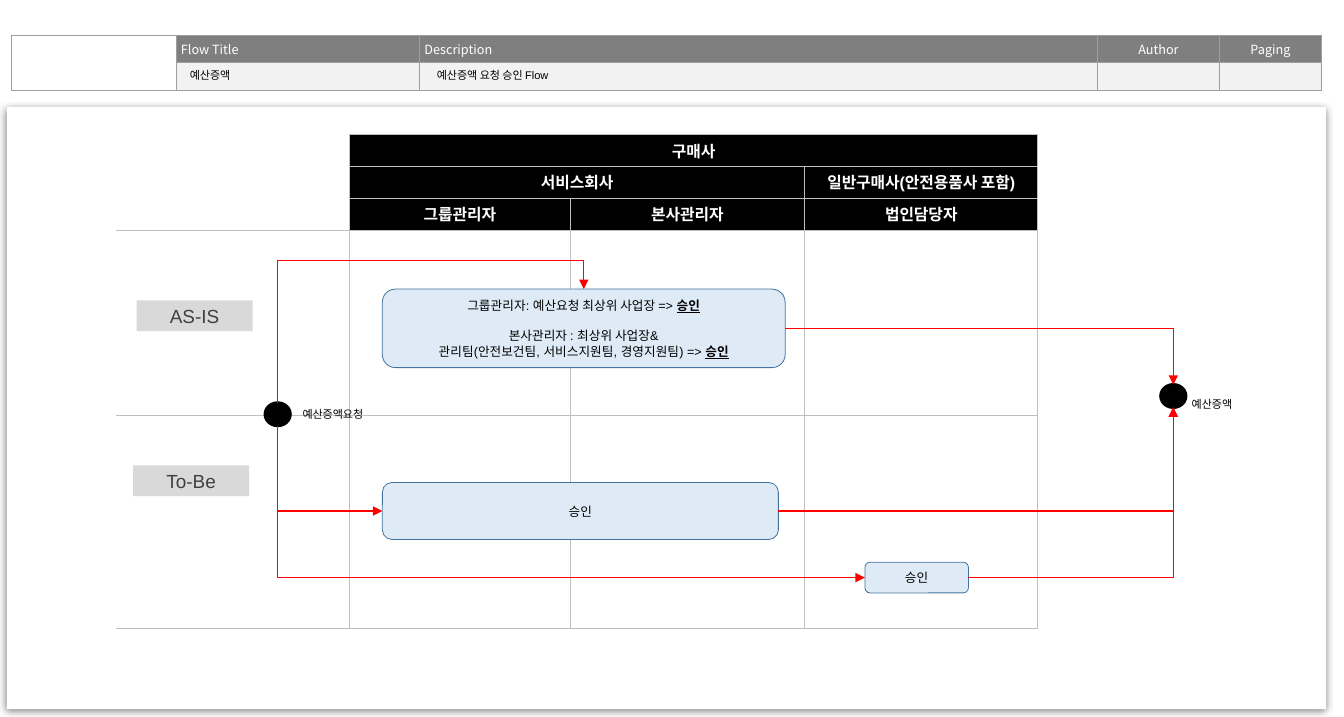
from dataclasses import dataclass

from pptx import Presentation
from pptx import util as u
from pptx.dml.color import RGBColor
from pptx.enum import shapes, text
from pptx.oxml import parse_xml
from pptx.oxml.ns import nsdecls, qn

# The slide is a grid of 118.1 columns by 63 rows
COLUMNS, ROWS = 118.1, 63
CELL = u.Inches(0.1)
TOP, LEFT, BOTTOM, RIGHT = range(4)
SHAPE = shapes.MSO_SHAPE
CENTER = text.PP_ALIGN.CENTER


@dataclass(frozen=True)
class Theme:
    font: str = "Arial"
    header_font: str = "Noto Sans CJK KR"
    black: str = "000000"
    white: str = "FFFFFF"
    header: str = "7F7F7F"
    header_body: str = "F2F2F2"
    header_border: str = "9E9E9E"
    lane_border: str = "BFBFBF"
    tag: str = "D9D9D9"
    tag_text: str = "404040"
    step: str = "DEEBF7"
    step_line: str = "43739E"
    flow: str = "FF0000"
    note_size: float = 7
    step_size: float = 8
    lane_size: float = 10
    tag_size: float = 12


THEME = Theme()


def grid(*cells):
    return [round(cell * CELL) for cell in cells]


def style(paragraph, size, color, align=None, bold=None, font=THEME.font):
    paragraph.alignment = align
    paragraph.font.size = u.Pt(size)
    paragraph.font.name = font
    paragraph.font.bold = bold
    paragraph.font.color.rgb = RGBColor.from_string(color)


def add_block(slide, kind, box, fill, line=None, width=0.5):
    shape = slide.shapes.add_shape(kind, *grid(*box))
    shape.shadow.inherit = False
    shape.fill.solid()
    shape.fill.fore_color.rgb = RGBColor.from_string(fill)
    if line:
        shape.line.color.rgb = RGBColor.from_string(line)
        shape.line.width = u.Pt(width)
    else:
        shape.line.fill.background()
    shape.text_frame.word_wrap = True
    shape.text_frame.vertical_anchor = text.MSO_ANCHOR.MIDDLE
    return shape


def add_step(slide, box, words=None):
    step = add_block(slide, SHAPE.ROUNDED_RECTANGLE, box, THEME.step, THEME.step_line)
    if words:
        paragraph = step.text_frame.paragraphs[0]
        paragraph.text = words
        style(paragraph, THEME.step_size, THEME.black, CENTER)
    return step


def add_tag(slide, left, top, words):
    tag = add_block(slide, SHAPE.RECTANGLE, (left, top, 10.2, 2.7), THEME.tag)
    tag.text_frame.text = words
    style(tag.text_frame.paragraphs[0], THEME.tag_size, THEME.tag_text, CENTER)


def add_node(slide, left, top):
    return add_block(slide, SHAPE.OVAL, (left, top, 2.2, 2), THEME.black, THEME.black, 2)


def add_note(slide, left, top, width, words, align=None):
    frame = slide.shapes.add_textbox(*grid(left, top, width, 2.2)).text_frame
    frame.word_wrap = True
    frame.text = words
    style(frame.paragraphs[0], THEME.note_size, THEME.black, align)


def side(shape, site):
    """Middle of one side of a shape."""
    x = {LEFT: 0, RIGHT: shape.width}.get(site, shape.width // 2)
    y = {TOP: 0, BOTTOM: shape.height}.get(site, shape.height // 2)
    return shape.left + x, shape.top + y


def add_flow(slide, start, end, turn=0, bend=None):
    """Elbow arrow; turn rotates it so that it leaves vertically."""
    middle = [(a + b) / 2 for a, b in zip(start, end)]
    x, y = (a - m for a, m in zip(start, middle))
    x, y = {0: (x, y), 90: (y, -x), 270: (-y, x)}[turn]
    ends = middle[0] + x, middle[1] + y, middle[0] - x, middle[1] - y
    flow = slide.shapes.add_connector(shapes.MSO_CONNECTOR.ELBOW, *map(round, ends))
    flow.line.color.rgb = RGBColor.from_string(THEME.flow)
    flow.line.width = u.Pt(0.75)
    properties = flow._element.spPr
    properties.find(qn("a:ln")).append(
        parse_xml(f'<a:tailEnd {nsdecls("a")} type="triangle"/>'))
    properties.append(parse_xml(f'<a:effectLst {nsdecls("a")}/>'))
    if turn:
        properties.find(qn("a:xfrm")).set("rot", str(turn * 60000))
    geometry = properties.find(qn("a:prstGeom"))
    if bend:
        geometry.find(qn("a:avLst")).append(parse_xml(
            f'<a:gd {nsdecls("a")} name="adj1" fmla="val {round(bend * 100000)}"/>'))
    else:
        geometry.set("prst", "bentConnector2")


def set_borders(cell, color, width, hidden=""):
    properties = cell._tc.get_or_add_tcPr()
    for edge in "LRTB":
        paint = ("<a:noFill/>" if edge in hidden else
                 f'<a:solidFill><a:srgbClr val="{color}"/></a:solidFill>')
        properties.append(parse_xml(
            f'<a:ln{edge} {nsdecls("a")} w="{u.Pt(width)}">{paint}</a:ln{edge}>'))


def add_grid_table(slide, left, top, columns, rows):
    frame = slide.shapes.add_table(
        len(rows), len(columns), *grid(left, top, sum(columns), sum(rows)))
    table = frame.table
    table.first_row = table.horz_banding = False
    for column, width in zip(table.columns, grid(*columns)):
        column.width = width
    for row, height in zip(table.rows, grid(*rows)):
        row.height = height
    return table


def fill_cell(cell, fill, words, margin, **font):
    cell.vertical_anchor = text.MSO_ANCHOR.MIDDLE
    cell.margin_top = cell.margin_bottom = u.Inches(margin)
    if fill:
        cell.fill.solid()
        cell.fill.fore_color.rgb = RGBColor.from_string(fill)
    else:
        cell.fill.background()
    paragraph = cell.text_frame.paragraphs[0]
    if words:
        paragraph.text = words
        style(paragraph, color=THEME.white, **font)
    else:
        paragraph._p.append(parse_xml(f'<a:endParaRPr {nsdecls("a")} sz="800"/>'))


def add_header(slide):
    table = add_grid_table(slide, 1, 3.1, (14.5, 21.4, 59.5, 10.8, 8.9), (2.4, 2.4))
    titles = ("", "Flow Title", "Description", "Author", "Paging")
    for row, fill in enumerate((THEME.header, THEME.header_body)):
        for column, title in enumerate(titles):
            cell = table.cell(row, column)
            set_borders(cell, THEME.header_border, 0.75)
            cell.margin_left = cell.margin_right = u.Inches(0.04)
            fill_cell(cell, fill if column else None, "" if row else title, 0.04,
                      size=THEME.step_size, font=THEME.header_font,
                      align=CENTER if column > 2 else None)
    table.cell(0, 0).merge(table.cell(1, 0))


def add_lanes(slide):
    table = add_grid_table(slide, 10.2, 11.8, (20.5, 19.4, 20.6, 20.5),
                           (2.8, 2.8, 2.8, 16.3, 18.7))
    heads = (("", "구매사", "", ""),
             ("", "서비스회사", "", "일반구매사(안전용품사 포함)"),
             ("", "그룹관리자", "본사관리자", "법인담당자"),
             ("",) * 4, ("",) * 4)
    for row, words in enumerate(heads):
        for column, word in enumerate(words):
            cell = table.cell(row, column)
            hidden = "" if column else ("LT" if row == 0 else "L")
            set_borders(cell, THEME.lane_border, 0.5, hidden)
            fill_cell(cell, THEME.black if column and row < 3 else None, word, 0.02,
                      size=THEME.lane_size, align=CENTER, bold=True)
    for first, last in (((0, 0), (2, 0)), ((0, 1), (0, 3)), ((1, 1), (1, 2))):
        table.cell(*first).merge(table.cell(*last))


def add_panel(slide):
    panel = add_block(slide, SHAPE.ROUNDED_RECTANGLE, (0.6, 9.4, 115.9, 52.9), THEME.white)
    panel.adjustments[0] = 0
    panel._element.spPr.find(qn("a:effectLst")).append(parse_xml(
        f'<a:outerShdw {nsdecls("a")} blurRad="{u.Pt(4.5)}" dist="{u.Pt(1.5)}" dir="5400000">'
        f'<a:srgbClr val="{THEME.black}"><a:alpha val="49000"/></a:srgbClr></a:outerShdw>'))


def add_approval_rules(step):
    rules = (("그룹관리자: 예산요청 최상위 사업장 => ",),
             ("본사관리자 : 최상위 사업장&", "관리팀(안전보건팀, 서비스지원팀, 경영지원팀) => "))
    frame = step.text_frame
    for index, lines in enumerate(rules):
        paragraph = frame.add_paragraph() if index else frame.paragraphs[0]
        style(paragraph, THEME.step_size, THEME.black, CENTER)
        if index:
            paragraph.space_before = u.Pt(9.5)
        for number, line in enumerate(lines):
            if number:
                paragraph.add_line_break()
            paragraph.add_run().text = line
        approval = paragraph.add_run()
        approval.text = "승인"
        approval.font.bold = approval.font.underline = True


def main():
    presentation = Presentation()
    presentation.slide_width, presentation.slide_height = grid(COLUMNS, ROWS)
    slide = presentation.slides.add_slide(presentation.slide_layouts[6])

    # Header and swimlanes
    add_header(slide)
    add_panel(slide)
    add_note(slide, 37.4, 5.5, 58.5, "예산증액 요청 승인 Flow")
    add_note(slide, 15.7, 5.5, 20.6, "예산증액")
    add_lanes(slide)
    add_tag(slide, 12, 26.4, "AS-IS")
    add_tag(slide, 11.7, 40.9, "To-Be")

    # Start, end and approval steps
    request = add_node(slide, 23.3, 35.4)
    add_note(slide, 23.4, 35.3, 11.7, "예산증액요청", CENTER)
    increase = add_node(slide, 102, 33.8)
    add_note(slide, 103.2, 34.4, 6.6, "예산증액", CENTER)
    current = add_step(slide, (33.6, 25.4, 35.4, 6.9))
    add_approval_rules(current)
    corporate = add_step(slide, (76, 49.4, 9.1, 2.7), "승인")
    group = add_step(slide, (33.6, 42.4, 34.8, 5), "승인")

    # Flows
    add_flow(slide, side(request, TOP), side(current, TOP), turn=90, bend=1.25)
    add_flow(slide, side(current, RIGHT), side(increase, TOP))
    for step in (corporate, group):
        add_flow(slide, side(request, BOTTOM), side(step, LEFT), turn=270)
        add_flow(slide, side(step, RIGHT), side(increase, BOTTOM))

    presentation.save("out.pptx")


if __name__ == "__main__":
    main()
